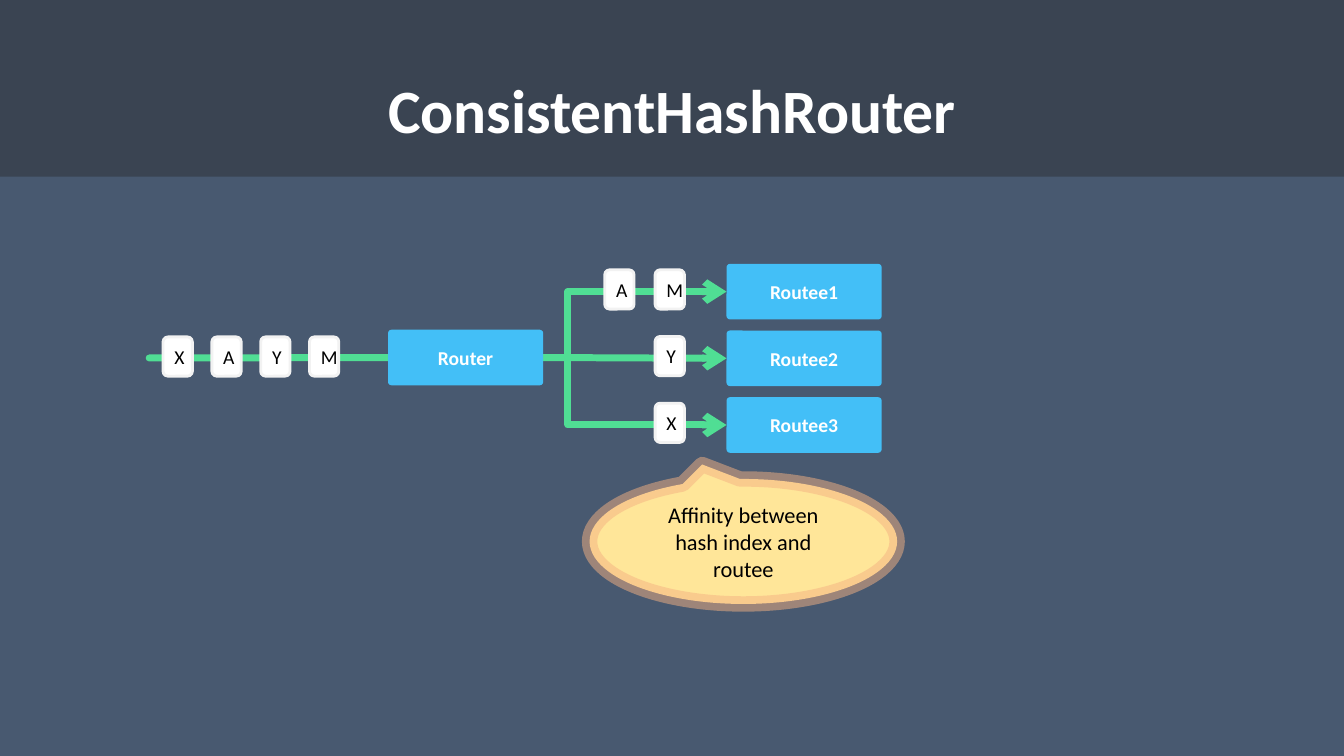
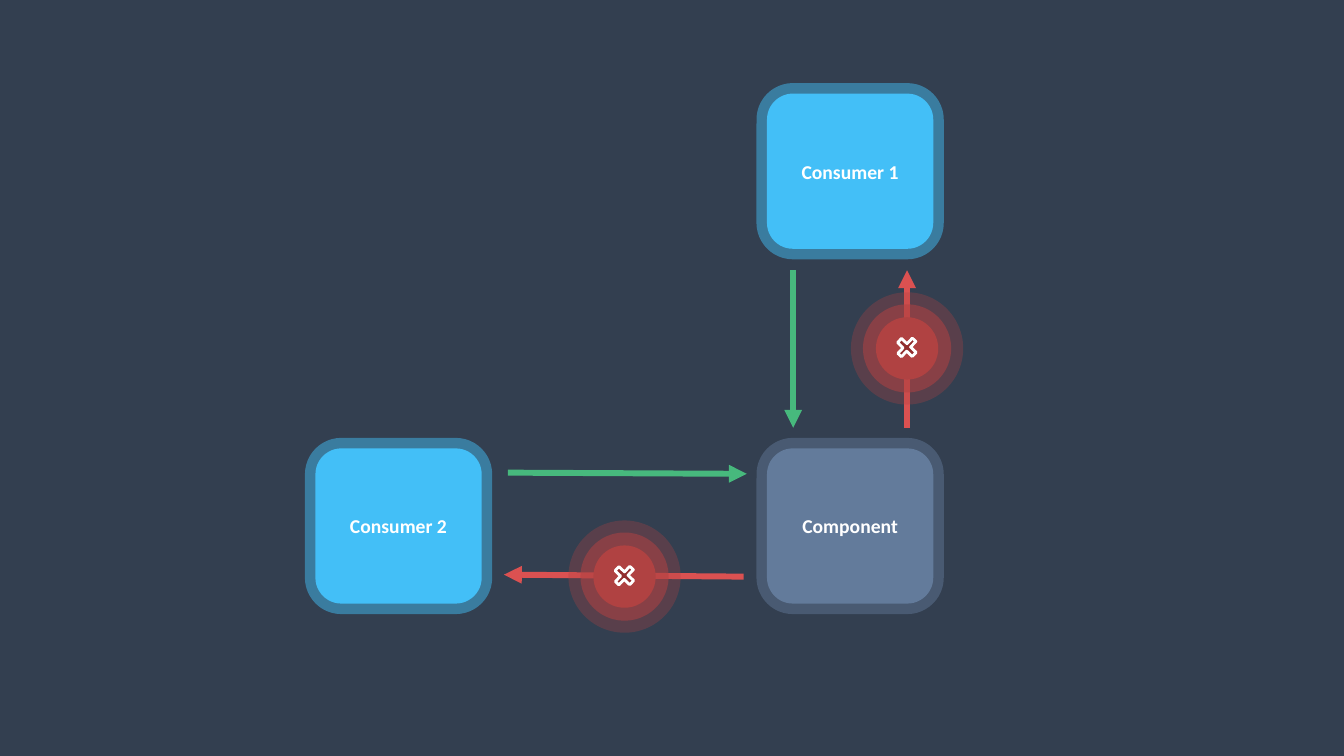
"""Build two slides: a consistent hash router and blocked component replies."""
from dataclasses import dataclass
from typing import Optional

from lxml import etree
from pptx import Presentation
from pptx.dml.color import RGBColor
from pptx.enum import shapes, text
from pptx.oxml import ns
from pptx.util import Cm, Pt

SLIDE_WIDTH, SLIDE_HEIGHT = 33.87, 19.05
FONT = "Calibri"
COLORS = {
    "slate": "485970",
    "navy": "333F50",
    "band": "262626",
    "white": "FFFFFF",
    "black": "000000",
    "blue": "43BFF7",
    "steel": "637B9B",
    "mint": "50DE94",
    "green": "47B97D",
    "red": "DB5151",
    "stop": "B04242",
    "cross": "922E2E",
    "edge": "F2F2F2",
    "sand": "FFE699",
    "orange": "F4B183",
}
SHAPE = shapes.MSO_SHAPE
CONNECTOR = shapes.MSO_CONNECTOR


@dataclass(frozen=True)
class Box:
    left: float
    top: float
    width: float
    height: float


@dataclass(frozen=True)
class Style:
    fill: Optional[str] = None
    line: Optional[str] = None
    line_width: float = 0
    line_opacity: int = 100
    font_color: str = "white"
    font_size: int = 14
    bold: bool = True


@dataclass(frozen=True)
class Stroke:
    color: str
    width: float
    arrow: Optional[str] = None
    rounded: bool = False


@dataclass(frozen=True)
class Arrow:
    start: tuple[float, float]
    end: tuple[float, float]
    color: str


def rgb(name: str) -> RGBColor:
    return RGBColor.from_string(COLORS[name])


def set_opacity(parent, percent: int) -> None:
    color = next(parent.iter(ns.qn("a:srgbClr")))
    etree.SubElement(color, ns.qn("a:alpha"), val=str(percent * 1000))


def send_to_back(slide, shape) -> None:
    slide.shapes.element.insert(2, shape.element)


def format_text(text_frame, words: str, style: Style) -> None:
    text_frame.text = words
    text_frame.vertical_anchor = text.MSO_ANCHOR.MIDDLE
    paragraph = text_frame.paragraphs[0]
    paragraph.alignment = text.PP_ALIGN.CENTER
    for run in paragraph.runs:
        run.font.name = FONT
        run.font.size = Pt(style.font_size)
        run.font.bold = style.bold
        run.font.color.rgb = rgb(style.font_color)


def add_box(parent, kind, box: Box, style: Style, words: str = "", adjustments=()):
    shape = parent.shapes.add_shape(
        kind, Cm(box.left), Cm(box.top), Cm(box.width), Cm(box.height)
    )
    shape.shadow.inherit = False
    for index, value in enumerate(adjustments):
        shape.adjustments[index] = value
    if style.fill:
        shape.fill.solid()
        shape.fill.fore_color.rgb = rgb(style.fill)
    else:
        shape.fill.background()
    if style.line:
        shape.line.color.rgb = rgb(style.line)
        shape.line.width = Pt(style.line_width)
        if style.line_opacity < 100:
            set_opacity(shape.element.spPr.find(ns.qn("a:ln")), style.line_opacity)
    else:
        shape.line.fill.background()
    if words:
        format_text(shape.text_frame, words, style)
    return shape


def add_line(slide, kind, start, end, stroke: Stroke):
    connector = slide.shapes.add_connector(
        kind, Cm(start[0]), Cm(start[1]), Cm(end[0]), Cm(end[1])
    )
    connector.line.color.rgb = rgb(stroke.color)
    connector.line.width = Pt(stroke.width)
    properties = connector.element.spPr
    line = properties.find(ns.qn("a:ln"))
    if stroke.rounded:
        line.set("cap", "rnd")
        etree.SubElement(line, ns.qn("a:round"))
    if stroke.arrow:
        etree.SubElement(line, ns.qn("a:tailEnd"), type=stroke.arrow)
    etree.SubElement(properties, ns.qn("a:effectLst"))
    return connector


def add_slide(presentation, layout: int, background: str):
    slide = presentation.slides.add_slide(presentation.slide_layouts[layout])
    slide.background.fill.solid()
    slide.background.fill.fore_color.rgb = rgb(background)
    return slide


def add_title(slide, words: str) -> None:
    title = slide.shapes.title
    title.left, title.top = Cm(2.34), Cm(1.02)
    title.width, title.height = Cm(29.21), Cm(3.68)
    format_text(title.text_frame, words, Style(font_size=44))
    title.text_frame.paragraphs[0].line_spacing = 0.9
    band = add_box(slide, SHAPE.ROUNDED_RECTANGLE, Box(0, 0, SLIDE_WIDTH, 4.45),
                   Style(fill="band"), adjustments=[0])
    set_opacity(band.element.spPr.find(ns.qn("a:solidFill")), 40)
    send_to_back(slide, band)


def add_actor(slide, left: float, top: float, words: str):
    return add_box(slide, SHAPE.ROUNDED_RECTANGLE, Box(left, top, 3.91, 1.4),
                   Style(fill="blue"), words, [0.062])


def add_message(slide, left: float, top: float, letter: str) -> None:
    style = Style("white", "edge", 2, font_color="black", bold=False)
    add_box(slide, SHAPE.ROUNDED_RECTANGLE, Box(left, top, 0.74, 0.99), style, letter)


def add_route(slide, router, routee, kind, start, end) -> None:
    connector = add_line(slide, kind, start, end, Stroke("mint", 5, "arrow", True))
    connector.begin_connect(router, 3)
    connector.end_connect(routee, 1)
    if kind == CONNECTOR.ELBOW:
        geometry = connector.element.spPr.find(ns.qn("a:prstGeom"))
        guides = geometry.find(ns.qn("a:avLst"))
        etree.SubElement(guides, ns.qn("a:gd"), name="adj1", fmla="val 13500")
    send_to_back(slide, connector)


def build_router_slide(presentation) -> None:
    slide = add_slide(presentation, 5, "slate")
    router = add_actor(slide, 9.78, 8.31, "Router")
    inbound = add_line(slide, CONNECTOR.STRAIGHT, (3.76, 9.02), (9.78, 9.01),
                       Stroke("mint", 5, rounded=True))
    inbound.end_connect(router, 1)
    send_to_back(slide, inbound)
    for index, letter in enumerate("XAYM"):
        add_message(slide, 4.11 + 1.23 * index, 8.49, letter)

    for index, letters in enumerate(("AM", "Y", "X")):
        top = 6.65 + 1.68 * index
        routee = add_actor(slide, 18.31, top, f"Routee{index + 1}")
        kind = CONNECTOR.STRAIGHT if index == 1 else CONNECTOR.ELBOW
        add_route(slide, router, routee, kind, (13.69, 9.01), (18.31, top + 0.7))
        for position, letter in enumerate(reversed(letters)):
            add_message(slide, 16.51 - 1.27 * position, top + 0.15, letter)

    add_box(slide, SHAPE.OVAL_CALLOUT, Box(14.86, 12.07, 7.75, 3.15),
            Style("sand", "orange", 11, 50, "black", 16, False),
            "Affinity between hash index and routee", [-0.134, -0.616])
    add_title(slide, "ConsistentHashRouter")


def add_stop_sign(slide, center_x: float, center_y: float) -> None:
    group = slide.shapes.add_group_shape()
    size = 1.57
    disc = Box(center_x - size / 2, center_y - size / 2, size, size)
    add_box(group, SHAPE.OVAL, disc, Style("stop", "stop", 18.5, 54))
    add_box(group, SHAPE.OVAL, disc, Style(None, "stop", 35.75, 31))
    cross = add_box(group, SHAPE.CROSS,
                    Box(center_x - 0.27, center_y - 0.28, 0.53, 0.51),
                    Style("cross", "white", 2), adjustments=[0.379])
    cross.rotation = 313.5


def build_component_slide(presentation) -> None:
    slide = add_slide(presentation, 6, "navy")
    component = Style("steel", "steel", 15, 46)
    consumer = Style("blue", "blue", 15, 48)
    for words, left, top, style in (
        ("Component", 19.33, 11.3, component),
        ("Consumer 1", 19.33, 2.36, consumer),
        ("Consumer 2", 7.95, 11.3, consumer),
    ):
        add_box(slide, SHAPE.ROUNDED_RECTANGLE, Box(left, top, 4.19, 3.91), style, words)
    for arrow in (
        Arrow((12.8, 11.91), (18.82, 11.94), "green"),
        Arrow((22.86, 10.78), (22.86, 6.81), "red"),
        Arrow((19.99, 6.81), (19.99, 10.78), "green"),
        Arrow((18.74, 14.53), (12.7, 14.48), "red"),
    ):
        add_line(slide, CONNECTOR.STRAIGHT, arrow.start, arrow.end,
                 Stroke(arrow.color, 4.25, "triangle"))
    for center in ((15.74, 14.53), (22.86, 8.78)):
        add_stop_sign(slide, *center)


def main() -> None:
    presentation = Presentation()
    presentation.slide_width = Cm(SLIDE_WIDTH)
    presentation.slide_height = Cm(SLIDE_HEIGHT)
    build_router_slide(presentation)
    build_component_slide(presentation)
    presentation.save("out.pptx")


if __name__ == "__main__":
    main()
